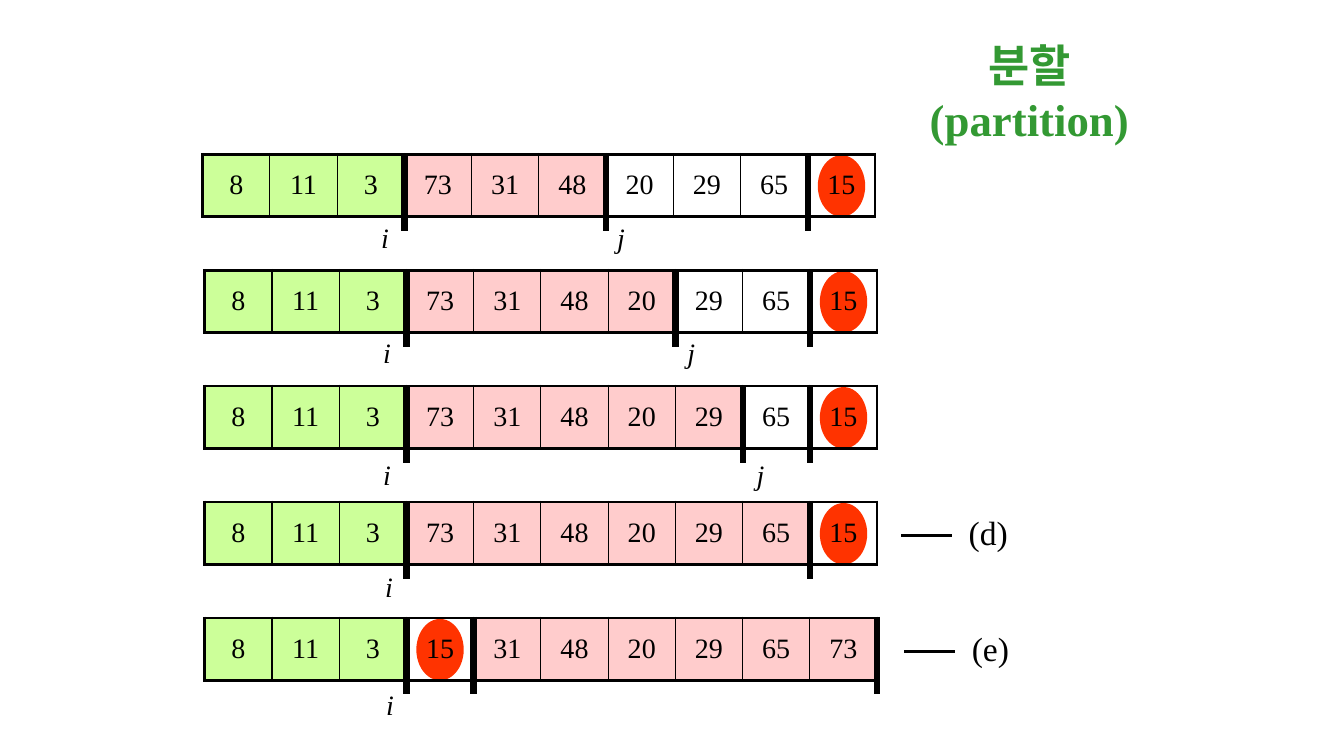
from lxml.etree import SubElement
from pptx import Presentation
from pptx.dml.color import RGBColor
from pptx.enum.shapes import MSO_CONNECTOR, MSO_SHAPE
from pptx.enum.text import MSO_ANCHOR, MSO_AUTO_SIZE, PP_ALIGN
from pptx.oxml.ns import qn
from pptx.util import Inches, Pt

TITLE = "분할\v(partition)"
SMALL_END = 3  # cells before this column are not above the pivot
# values, pivot column, end of the large part, dividers, left, drop of the i and j labels
STEPS = [
    ([8, 11, 3, 73, 31, 48, 20, 29, 65, 15], 9, 6, (3, 6, 9), 2.01, 0.61),
    ([8, 11, 3, 73, 31, 48, 20, 29, 65, 15], 9, 7, (3, 7, 9), 2.03, 0.6),
    ([8, 11, 3, 73, 31, 48, 20, 29, 65, 15], 9, 8, (3, 8, 9), 2.03, 0.66),
    ([8, 11, 3, 73, 31, 48, 20, 29, 65, 15], 9, 9, (3, 9), 2.03, 0.62),
    ([8, 11, 3, 15, 31, 48, 20, 29, 65, 73], 3, 10, (3, 4, 10), 2.03, 0.64),
]
# column of each index label by step, as (text, column, shift from the divider)
INDEXES = [
    [("i", 3, -0.33), ("j", 6, 0.01)],
    [("i", 3, -0.33), ("j", 7, 0.02)],
    [("i", 3, -0.33), ("j", 8, 0.04)],
    [("i", 3, -0.31)],
    [("i", 3, -0.3)],
]
CALLOUTS = {3: ("(d)", 8.94), 4: ("(e)", 8.97)}

FIRST_TOP, STEP_PITCH = 1.53, 1.15
CELL_W, CELL_H = 6.67 / 10, 0.62
PIVOT_W, PIVOT_H = 0.47, 0.61
DIVIDER_H = 0.77
CALLOUT_W, CALLOUT_H = 0.64, 0.5
FONT = "Times New Roman"
BLACK, GREEN, PINK, RED, TITLE_GREEN = "000000", "CCFF99", "FFCCCC", "FF3300", "339933"


def rgb(value):
    return RGBColor.from_string(value)


def write(frame, text, size=20, color=BLACK, bold=False, italic=False,
          align=PP_ALIGN.LEFT, before=0):
    frame.text = text
    paragraph = frame.paragraphs[0]
    paragraph.alignment = align
    paragraph.space_before = Pt(before)
    for run in paragraph.runs:
        font = run.font
        font.name, font.size, font.bold, font.italic = FONT, Pt(size), bold, italic
        font.color.rgb = rgb(color)


def add_label(slide, text, left, top, width, height, **text_format):
    frame = slide.shapes.add_textbox(
        Inches(left), Inches(top), Inches(width), Inches(height)).text_frame
    frame.word_wrap = False
    frame.auto_size = MSO_AUTO_SIZE.SHAPE_TO_FIT_TEXT
    write(frame, text, **text_format)


def add_line(slide, start, end, width):
    line = slide.shapes.add_connector(
        MSO_CONNECTOR.STRAIGHT, *(Inches(length) for length in (*start, *end)))
    line.line.color.rgb = rgb(BLACK)
    line.line.width = Pt(width)
    SubElement(line._element.spPr, qn("a:effectLst"))


def set_borders(cell, first, last):
    """Draw thick outer and thin inner edges; borders come before the fill."""
    edges = {"lnL": 2.25 if first else 1, "lnR": 2.25 if last else 1,
             "lnT": 2.25, "lnB": 2.25}
    properties = cell._tc.get_or_add_tcPr()
    for position, (edge, width) in enumerate(edges.items()):
        border = SubElement(properties, qn(f"a:{edge}"), w=str(Pt(width)))
        properties.insert(position, border)
        paint = SubElement(border, qn("a:solidFill"))
        SubElement(paint, qn("a:srgbClr"), val=BLACK)


def add_pivot(slide, left, top):
    pivot = slide.shapes.add_shape(
        MSO_SHAPE.OVAL, Inches(left), Inches(top), Inches(PIVOT_W), Inches(PIVOT_H))
    pivot.shadow.inherit = False
    pivot.fill.solid()
    pivot.fill.fore_color.rgb = rgb(RED)
    pivot.line.fill.background()


def add_array(slide, values, pivot_column, large_end, left, top):
    count = len(values)
    table = slide.shapes.add_table(
        1, count, Inches(left), Inches(top),
        Inches(count * CELL_W), Inches(CELL_H)).table
    table.first_row = table.horz_banding = False
    for column, value in enumerate(values):
        cell = table.cell(0, column)
        cell.vertical_anchor = MSO_ANCHOR.MIDDLE
        write(cell.text_frame, str(value), align=PP_ALIGN.CENTER, before=4)
        if column == pivot_column or column >= large_end:
            cell.fill.background()
        else:
            cell.fill.solid()
            cell.fill.fore_color.rgb = rgb(GREEN if column < SMALL_END else PINK)
        set_borders(cell, column == 0, column == count - 1)


def add_title(slide):
    title = slide.shapes.title
    title.left, title.top = Inches(8.75), Inches(0.4)
    title.width, title.height = Inches(2.92), Inches(1.01)
    frame = title.text_frame
    frame.word_wrap = True
    frame.auto_size = MSO_AUTO_SIZE.NONE
    frame.vertical_anchor = MSO_ANCHOR.MIDDLE
    write(frame, TITLE, size=32, color=TITLE_GREEN, bold=True, align=PP_ALIGN.CENTER)


def main():
    deck = Presentation()
    deck.slide_width, deck.slide_height = Inches(13.33), Inches(7.5)
    slide = deck.slides.add_slide(deck.slide_layouts[5])
    add_title(slide)

    for step, (values, pivot, large_end, dividers, left, drop) in enumerate(STEPS):
        top = FIRST_TOP + step * STEP_PITCH
        pivot_left = left + pivot * CELL_W + (CELL_W - PIVOT_W) / 2
        add_pivot(slide, pivot_left, top + 0.01)
        add_array(slide, values, pivot, large_end, left, top)
        for column in dividers:
            x = left + column * CELL_W
            add_line(slide, (x, top - 0.01), (x, top - 0.01 + DIVIDER_H), 4.5)
        for name, column, shift in INDEXES[step]:
            add_label(slide, name, left + column * CELL_W + shift, top + drop,
                      0.28, 0.43, italic=True)
        if step in CALLOUTS:
            mark, line_left = CALLOUTS[step]
            y = top + 0.33
            add_line(slide, (line_left, y), (line_left + 0.5, y), 2.25)
            add_label(slide, mark, line_left + 0.57, y - 0.28,
                      CALLOUT_W, CALLOUT_H, size=24)

    deck.save("out.pptx")


if __name__ == "__main__":
    main()
